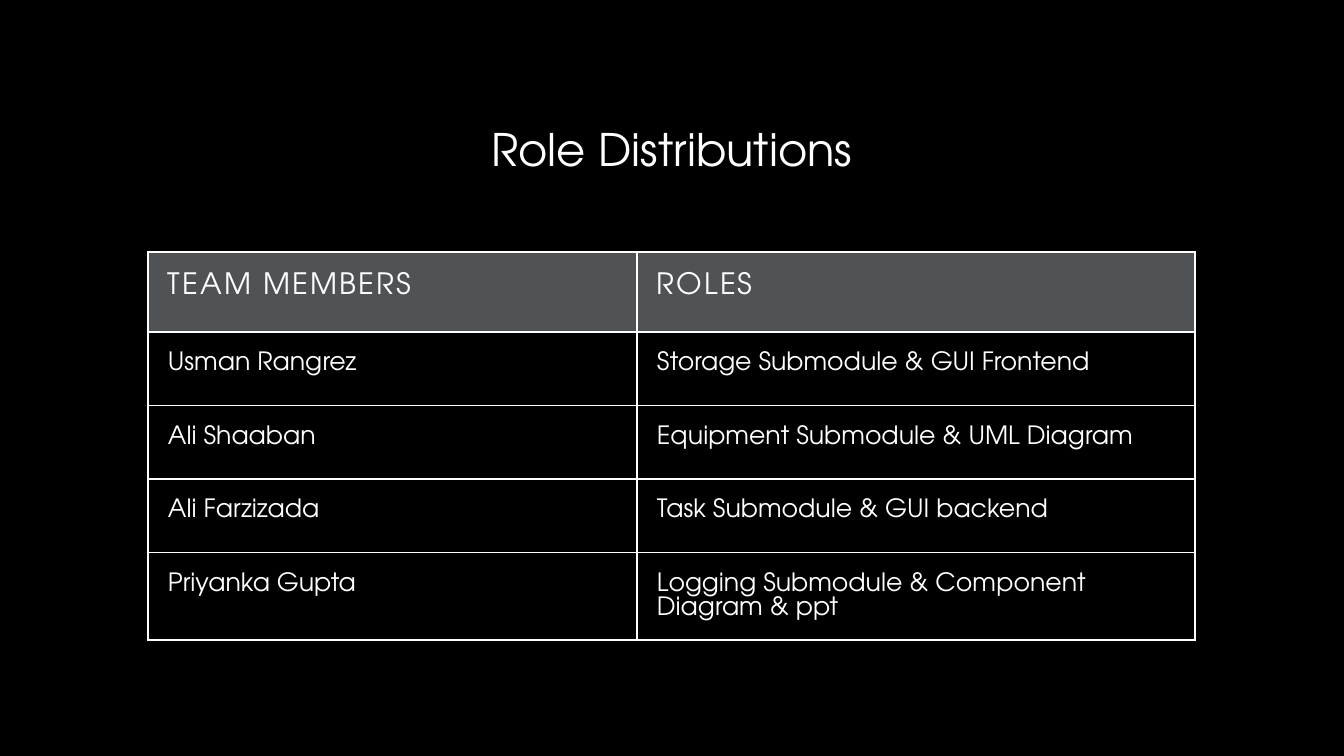
from lxml.etree import SubElement
from pptx import Presentation
from pptx.dml.color import RGBColor
from pptx.enum.text import MSO_ANCHOR, PP_ALIGN
from pptx.oxml.ns import qn
from pptx.util import Emu, Pt

FONT = "TeX Gyre Adventor"
WHITE = "FFFFFF"
BLACK = "000000"
HEADER_GREY = "505356"
BAND_ALPHA = 8
TITLE_BOX = (126, 68, 1092, 162)
TABLE_BOX = (148, 252, 1047, 374)
NAME_WIDTH = 489
HEADER_HEIGHT = 80
CELL_INSET = 20
ROLES = [
    ("TEAM MEMBERS", "ROLES"),
    ("Usman Rangrez", "Storage Submodule & GUI Frontend"),
    ("Ali Shaaban", "Equipment Submodule & UML Diagram"),
    ("Ali Farzizada", "Task Submodule & GUI backend"),
    ("Priyanka Gupta", "Logging Submodule & Component Diagram & ppt"),
]


def px(length):
    return Emu(round(length * 914400 / 100.8))


def color(value):
    return RGBColor.from_string(value)


def add_span(para, text, size):
    span = para.add_run()
    span.text = text
    span.font.name = FONT
    span.font.size = Pt(size)
    span.font.bold = False
    return span


def place_title(page, box, text):
    title = page.shapes.title
    title.left, title.top, title.width, title.height = map(px, box)
    title.text_frame.word_wrap = True
    title.text_frame.vertical_anchor = MSO_ANCHOR.MIDDLE
    para = title.text_frame.paragraphs[0]
    para.alignment = PP_ALIGN.CENTER
    fill = add_span(para, text, 32).font.fill
    fill.gradient()
    fill.gradient_angle = 267
    for stop, position, shade in zip(fill.gradient_stops, (0, 1), (WHITE, "A6A6A6")):
        stop.position = position
        stop.color.rgb = color(shade)


def fill_cell(cell, row):
    if row % 2:
        cell.fill.background()
        return
    cell.fill.solid()
    cell.fill.fore_color.rgb = color(BLACK if row else HEADER_GREY)
    if row:
        shade = cell.fill._xPr.find(qn("a:solidFill"))[0]
        SubElement(shade, qn("a:alpha"), val=str(BAND_ALPHA * 1000))


def write_cell(cell, text, row):
    cell.margin_left = cell.margin_right = px(CELL_INSET)
    cell.margin_top = cell.margin_bottom = px(CELL_INSET)
    para = cell.text_frame.paragraphs[0]
    para.line_spacing = Pt(17 if row else 20)
    span = add_span(para, text, 18 if row else 21)
    span.font.color.rgb = color(WHITE)
    if not row:
        span.font._element.set("spc", "150")


def place_table(page, box, rows):
    left, top, width, height = box
    frame = page.shapes.add_table(len(rows), 2, *map(px, box))
    table = frame.table
    table.horz_banding = False
    for column, column_width in zip(table.columns, (NAME_WIDTH, width - NAME_WIDTH)):
        column.width = px(column_width)
    body_height = (height - HEADER_HEIGHT) / (len(rows) - 1)
    for row, texts in enumerate(rows):
        table.rows[row].height = px(body_height if row else HEADER_HEIGHT)
        for column, text in enumerate(texts):
            cell = table.cell(row, column)
            fill_cell(cell, row)
            write_cell(cell, text, row)


def build_role_slide(deck):
    page = deck.slides.add_slide(deck.slide_layouts[5])
    page.background.fill.solid()
    page.background.fill.fore_color.rgb = color(BLACK)
    place_title(page, TITLE_BOX, "Role Distributions")
    place_table(page, TABLE_BOX, ROLES)


def main():
    deck = Presentation()
    deck.slide_width, deck.slide_height = px(1344), px(756)
    build_role_slide(deck)
    deck.save("out.pptx")


if __name__ == "__main__":
    main()
